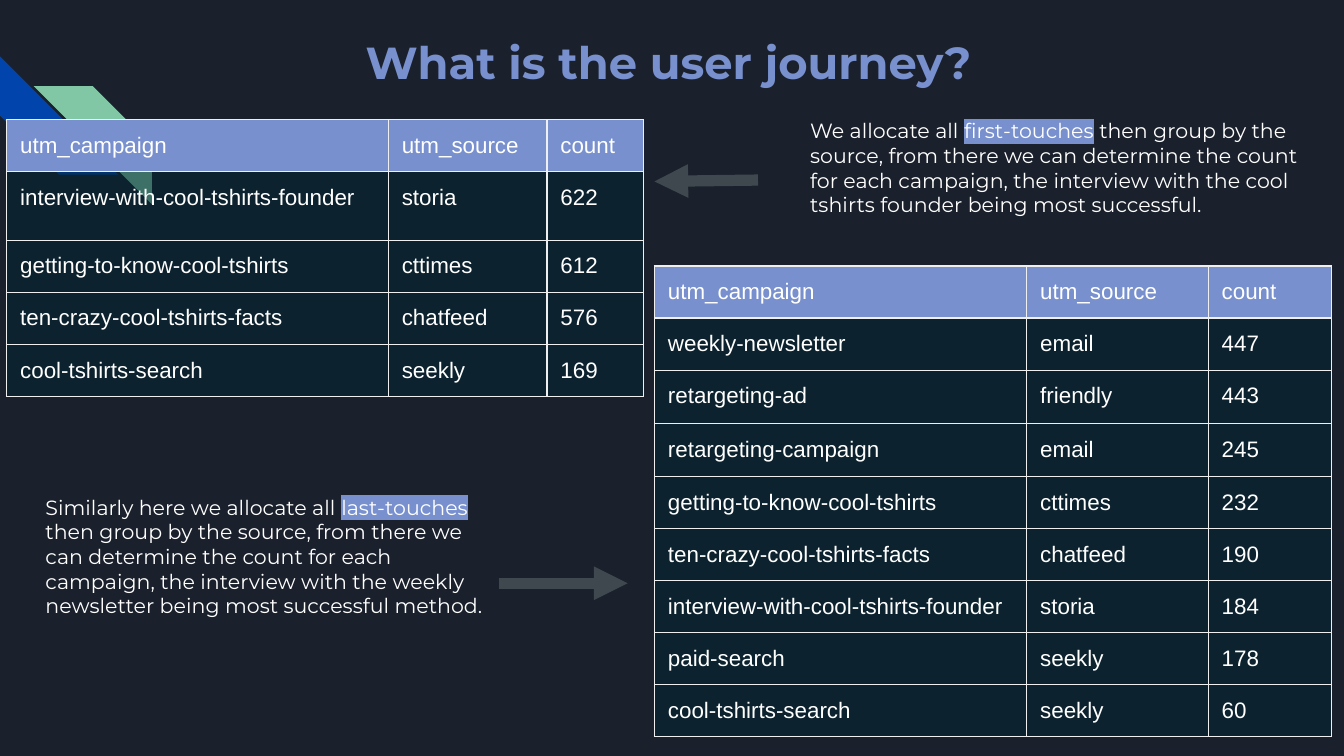
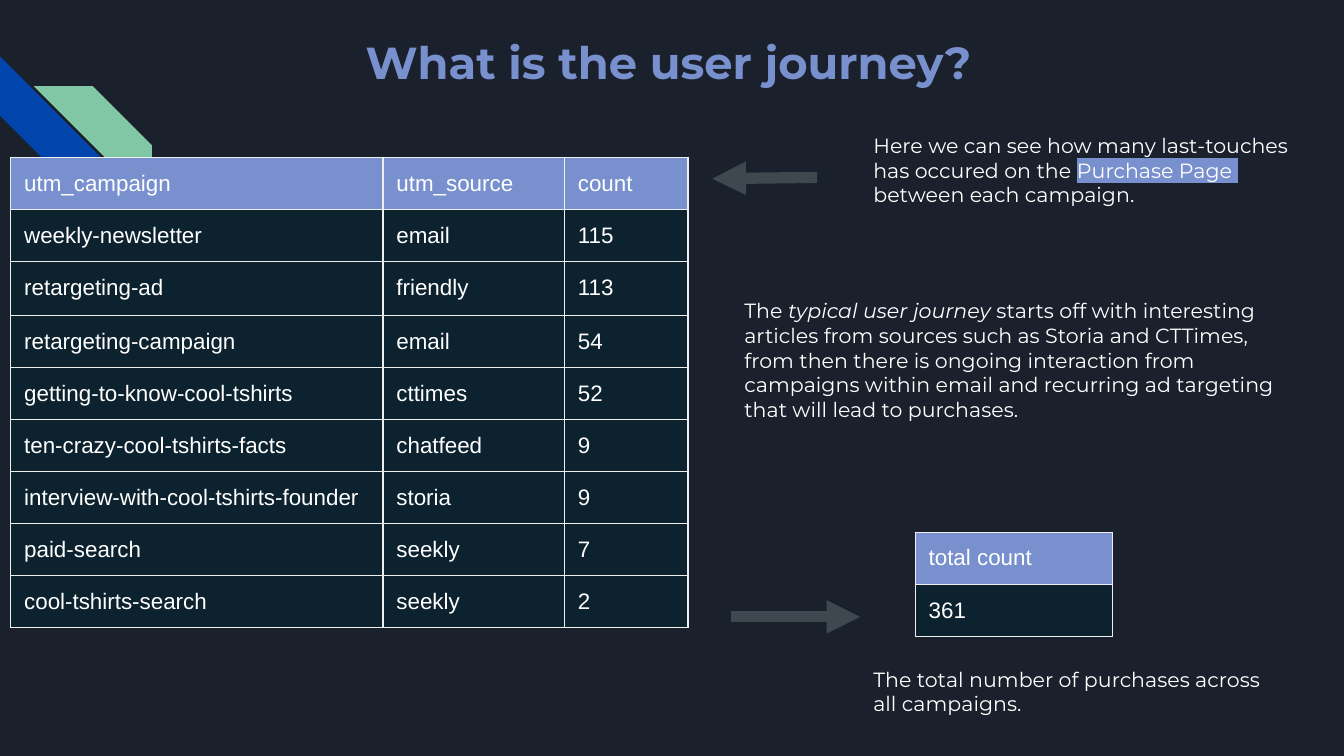
from dataclasses import dataclass

from lxml.etree import SubElement
from pptx import Presentation
from pptx.dml.color import RGBColor
from pptx.enum.shapes import MSO_CONNECTOR, MSO_SHAPE
from pptx.enum.text import MSO_ANCHOR, MSO_AUTO_SIZE, PP_ALIGN
from pptx.oxml import parse_xml
from pptx.oxml.ns import nsdecls, qn
from pptx.util import Inches, Pt


@dataclass(frozen=True)
class Theme:
    back: str = "1B212C"
    accent: str = "7890CD"
    text: str = "FFFFFF"
    cell: str = "002331"
    alpha: int = 53
    border: str = "EFEFEF"
    arrow: str = "3F484E"
    blue: str = "0145AC"
    green: str = "82C7A5"
    font: str = "Montserrat"
    grid: str = "Arial"
    big: int = 24
    note: int = 11
    data: int = 12


def rgb(code):
    return RGBColor.from_string(code)


class Deck:
    def __init__(self, theme):
        self.theme = theme
        self.prs = Presentation()
        self.prs.slide_width = Inches(10)
        self.prs.slide_height = Inches(10 * 9 / 16)
        self.layout = self.prs.slide_layouts[5]
        self.slide = None
        fill = self.prs.slide_master.background.fill
        fill.solid()
        fill.fore_color.rgb = rgb(theme.back)

    def start(self, title):
        first = self.slide is None
        self.slide = self.prs.slides.add_slide(self.layout)
        if first:
            self.stripe(0, 0.42, self.theme.blue, turn=270)
            self.stripe(0.25, 0.64, self.theme.green, flip=True)
        box = self.slide.shapes.title
        self.place(box, 2.62, 0.16, 5.66, 0.54)
        self.fill(box, [(title, "b")], self.theme.big, self.theme.accent)

    def stripe(self, left, top, color, turn=0, flip=False):
        """Add a corner stripe to the layout, so that every slide shows it."""
        side = Inches(0.88)
        shape = self.slide.shapes.add_shape(
            MSO_SHAPE.DIAGONAL_STRIPE, Inches(left), Inches(top), side, side)
        shape.shadow.inherit = False
        shape.fill.solid()
        shape.fill.fore_color.rgb = rgb(color)
        shape.line.fill.background()
        shape.rotation = turn
        if flip:
            shape.element.spPr.find(qn("a:xfrm")).set("flipH", "1")
        self.layout.shapes.element.append(shape.element)

    def place(self, box, left, top, width, height):
        box.left, box.top = Inches(left), Inches(top)
        box.width, box.height = Inches(width), Inches(height)

    def fill(self, box, runs, size, color):
        """Write (text, style) runs: b bold, i italic, h highlight."""
        frame = box.text_frame
        frame.word_wrap = True
        frame.auto_size = MSO_AUTO_SIZE.NONE
        frame.vertical_anchor = MSO_ANCHOR.TOP
        frame.margin_left = frame.margin_right = Inches(0.1)
        frame.margin_top = frame.margin_bottom = Inches(0.1)
        para = frame.paragraphs[0]
        para.alignment = PP_ALIGN.LEFT
        for text, style in runs:
            self.run(para, text, size, color, self.theme.font, style)

    def run(self, para, text, size, color, face, style=""):
        run = para.add_run()
        run.text = text
        font = run.font
        font.size, font.name = Pt(size), face
        font.bold, font.italic = "b" in style, "i" in style
        font.color.rgb = rgb(color)
        if "h" in style:
            mark = parse_xml(
                f'<a:highlight {nsdecls("a")}>'
                f'<a:srgbClr val="{self.theme.accent}"/></a:highlight>')
            next(run._r.iter(qn("a:solidFill"))).addnext(mark)

    def note(self, left, top, width, height, *runs):
        box = self.slide.shapes.add_textbox(
            Inches(left), Inches(top), Inches(width), Inches(height))
        self.fill(box, runs, self.theme.note, self.theme.text)

    def arrow(self, x1, y1, x2, y2):
        line = self.slide.shapes.add_connector(
            MSO_CONNECTOR.STRAIGHT,
            Inches(x1), Inches(y1), Inches(x2), Inches(y2))
        line.line.color.rgb = rgb(self.theme.arrow)
        line.line.width = Pt(6)
        props = line.element.spPr
        SubElement(props.find(qn("a:ln")), qn("a:tailEnd"), type="triangle")
        SubElement(props, qn("a:effectLst"))

    def table(self, left, top, widths, rows, high, tall):
        """Draw a table; tall maps a row number to its special height."""
        theme = self.theme
        highs = [tall.get(i, high) for i in range(len(rows))]
        frame = self.slide.shapes.add_table(
            len(rows), len(widths), Inches(left), Inches(top),
            Inches(sum(widths)), Inches(sum(highs)))
        table = frame.table
        table.first_row = table.horz_banding = False
        for col, width in zip(table.columns, widths):
            col.width = Inches(width)
        for i, row in enumerate(rows):
            table.rows[i].height = Inches(highs[i])
            for j, text in enumerate(row):
                cell = table.cell(i, j)
                cell.margin_left = cell.margin_right = Inches(0.1)
                cell.margin_top = cell.margin_bottom = Inches(0.1)
                cell.fill.solid()
                cell.fill.fore_color.rgb = rgb(theme.cell if i else theme.accent)
                self.run(cell.text_frame.paragraphs[0], str(text),
                         theme.data, theme.text, theme.grid)
        # Borders, and see-through fill below the header
        for i, props in enumerate(frame.element.iter(qn("a:tcPr"))):
            if i >= len(widths):
                color = next(props.iter(qn("a:srgbClr")))
                SubElement(color, qn("a:alpha"), val=str(theme.alpha * 1000))
            for k, side in enumerate("LRTB"):
                props.insert(k, parse_xml(
                    f'<a:ln{side} {nsdecls("a")} w="{Pt(0.75)}"><a:solidFill>'
                    f'<a:srgbClr val="{theme.border}"/></a:solidFill></a:ln{side}>'))


# Campaigns and their sources, in last-touch order
SOURCE = {
    "weekly-newsletter": "email",
    "retargeting-ad": "friendly",
    "retargeting-campaign": "email",
    "getting-to-know-cool-tshirts": "cttimes",
    "ten-crazy-cool-tshirts-facts": "chatfeed",
    "interview-with-cool-tshirts-founder": "storia",
    "paid-search": "seekly",
    "cool-tshirts-search": "seekly",
}
FIRST = {
    "interview-with-cool-tshirts-founder": 622,
    "getting-to-know-cool-tshirts": 612,
    "ten-crazy-cool-tshirts-facts": 576,
    "cool-tshirts-search": 169,
}
LAST = dict(zip(SOURCE, (447, 443, 245, 232, 190, 184, 178, 60)))
BOUGHT = dict(zip(SOURCE, (115, 113, 54, 52, 9, 9, 7, 2)))
TITLE = "What is the user journey?"
WIDE = (2.77, 1.35, 0.92)


def tally(counts):
    head = ("utm_campaign", "utm_source", "count")
    return [head] + [(name, SOURCE[name], n) for name, n in counts.items()]


def touches(deck):
    deck.start(TITLE)
    # First touches
    deck.table(0.05, 0.89, (2.84, 1.18, 0.72), tally(FIRST), 0.33, {1: 0.51})
    deck.arrow(5.64, 1.34, 4.87, 1.35)
    deck.note(5.93, 0.78, 4.07, 1.12,
              ("We allocate all ", ""), ("first-touches", "h"),
              (" then group by the source, from there we can determine the "
               "count for each campaign, the interview with the cool tshirts "
               "founder being most successful.", ""))
    # Last touches
    deck.table(4.87, 1.98, WIDE, tally(LAST), 0.38, {2: 0.4, 3: 0.39})
    deck.arrow(3.71, 4.34, 4.67, 4.34)
    deck.note(0.24, 3.58, 3.57, 1.52,
              ("Similarly here we allocate all ", ""), ("last-touches", "h"),
              (" then group by the source, from there we can determine the "
               "count for each campaign, the interview with the weekly "
               "newsletter being most successful method.", ""))


def buying(deck):
    deck.start(TITLE)
    # Last touches on the purchase page
    deck.table(0.08, 1.17, WIDE, tally(BOUGHT), 0.38,
               {0: 0.39, 2: 0.4, 3: 0.39})
    deck.arrow(6.08, 1.32, 5.3, 1.33)
    deck.note(6.4, 0.89, 3.57, 0.8,
              ("Here we can see how many last-touches has occured on the ", ""),
              ("Purchase Page ", "h"), (" between each campaign.", ""))
    # Typical journey
    deck.note(5.44, 2.12, 4.35, 1.41,
              ("The ", ""), ("typical user journey", "i"),
              (" starts off with interesting articles from sources such as "
               "Storia and CTTimes, from then there is ongoing interaction "
               "from campaigns within email and recurring ad targeting that "
               "will lead to purchases.", ""))
    # Total
    deck.arrow(5.44, 4.59, 6.4, 4.59)
    deck.table(6.81, 3.96, (1.47,),
               [("total count",), (sum(BOUGHT.values()),)], 0.33, {})
    deck.note(6.4, 4.86, 3.13, 0.69,
              ("The total number of purchases across all campaigns.", ""))


def main():
    deck = Deck(Theme())
    touches(deck)
    buying(deck)
    deck.prs.save("out.pptx")


if __name__ == "__main__":
    main()
